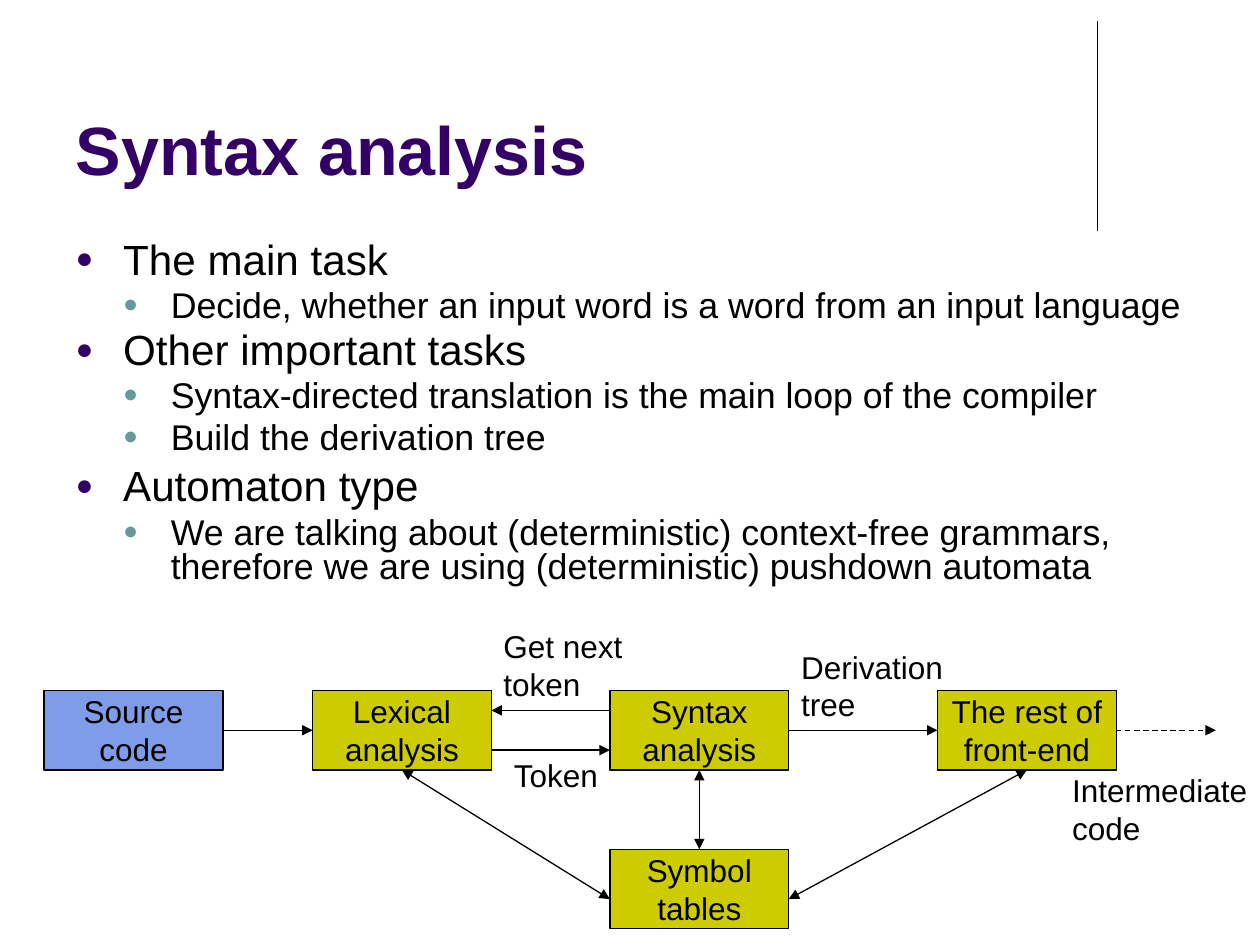
from lxml import etree
from pptx import Presentation
from pptx.dml.color import RGBColor
from pptx.enum import dml, shapes, text
from pptx.oxml import ns
from pptx.util import Pt

COLORS = {"ink": "000000", "title": "330066", "sub": "669999",
          "phase": "CCCC00", "source": "7E9CE8"}
FONT = "Arial"
BOX_W, BOX_H = 102.2, 45.4
BULLETS = [
    (0, "The main task", 0.8),
    (1, "Decide, whether an input word is a word from an input language", 0.8),
    (0, "Other important tasks", 0.8),
    (1, "Syntax-directed translation is the main loop of the compiler", 0.8),
    (1, "Build the derivation tree", 0.8),
    (0, "Automaton type", 0.9),
    (1, "We are talking about (deterministic) context-free grammars, "
        "therefore we are using (deterministic) pushdown automata", 0.8),
]


def rgb(name):
    return RGBColor.from_string(COLORS[name])


def sub(parent, tag, **attrs):
    return etree.SubElement(parent, ns.qn(tag), **attrs)


def write(p, words, size=18, color="ink", bold=False, align=text.PP_ALIGN.LEFT):
    p.text = words
    p.alignment = align
    for r in p.runs:
        r.font.name, r.font.size, r.font.bold = FONT, Pt(size), bold
        r.font.color.rgb = rgb(color)


def place(sp, x, y, w, h):
    sp.left, sp.top, sp.width, sp.height = Pt(x), Pt(y), Pt(w), Pt(h)


def add_title(s, x, y, w, h):
    sp = s.shapes.title
    place(sp, x, y, w, h)
    tf = sp.text_frame
    tf.auto_size = text.MSO_AUTO_SIZE.NONE
    tf.vertical_anchor = text.MSO_ANCHOR.BOTTOM
    write(tf.paragraphs[0], "Syntax analysis", size=39, color="title", bold=True)


def add_bullets(s, x, y, w, h):
    sp = s.placeholders[1]
    place(sp, x, y, w, h)
    tf = sp.text_frame
    tf.auto_size = text.MSO_AUTO_SIZE.NONE
    for i, (level, words, spacing) in enumerate(BULLETS):
        p = tf.add_paragraph() if i else tf.paragraphs[0]
        write(p, words, size=(24.1, 20.4)[level])
        p.level, p.line_spacing = level, spacing
        pPr = p._p.get_or_add_pPr()
        pPr.set("marL", str(Pt(27.2 * (level + 1))))
        pPr.set("indent", str(-Pt(27.2)))
        sub(sub(pPr, "a:spcBef"), "a:spcPct", val="20000")
        sub(sub(pPr, "a:buClr"), "a:srgbClr", val=COLORS[("title", "sub")[level]])
        sub(pPr, "a:buSzPct", val="70000")
        sub(pPr, "a:buFont", typeface=FONT)
        sub(pPr, "a:buChar", char="●")


def add_box(s, words, x, y, fill="phase"):
    sp = s.shapes.add_shape(shapes.MSO_SHAPE.RECTANGLE,
                            Pt(x), Pt(y), Pt(BOX_W), Pt(BOX_H))
    sp.shadow.inherit = False
    sp.fill.solid()
    sp.fill.fore_color.rgb = rgb(fill)
    sp.line.color.rgb, sp.line.width = rgb("ink"), Pt(0.75)
    tf = sp.text_frame
    tf.word_wrap = False
    tf.vertical_anchor = text.MSO_ANCHOR.MIDDLE
    write(tf.paragraphs[0], words, align=text.PP_ALIGN.CENTER)
    return sp


def add_label(s, words, x, y, w, h):
    tf = s.shapes.add_textbox(Pt(x), Pt(y), Pt(w), Pt(h)).text_frame
    tf.word_wrap = False
    write(tf.paragraphs[0], words)


def add_line(s, start, end, ends=(), dashed=False):
    """Draw a line; each end is an (x, y) point or a (shape, site) pair."""
    joined = [not isinstance(e[0], (int, float)) for e in (start, end)]
    a, b = [(0, 0) if j else e for j, e in zip(joined, (start, end))]
    c = s.shapes.add_connector(shapes.MSO_CONNECTOR.STRAIGHT,
                               Pt(a[0]), Pt(a[1]), Pt(b[0]), Pt(b[1]))
    if joined[0]:
        c.begin_connect(*start)
    if joined[1]:
        c.end_connect(*end)
    c.line.color.rgb, c.line.width = rgb("ink"), Pt(0.75)
    if dashed:
        c.line.dash_style = dml.MSO_LINE.DASH
    ln = c.line._get_or_add_ln()
    for tag in ends:
        sub(ln, tag, type="triangle")
    sub(c._element.spPr, "a:effectLst")


def add_diagram(s, x, y):
    """Compiler phases in a row, with the symbol tables under them."""
    one, both = ("a:tailEnd",), ("a:headEnd", "a:tailEnd")
    lex_x, syn_x, rest_x = x + 153.4, x + 323.3, x + 510.5
    table_y = y + 90.7
    source = add_box(s, "Source\ncode", x, y, fill="source")
    lexical = add_box(s, "Lexical\nanalysis", lex_x, y)
    syntax = add_box(s, "Syntax\nanalysis", syn_x, y)
    rest = add_box(s, "The rest of\nfront-end", rest_x, y)
    symbols = add_box(s, "Symbol\ntables", syn_x, table_y)

    lex_right = lex_x + BOX_W
    add_line(s, (source, 3), (lexical, 1), one)
    add_line(s, (syn_x, y + BOX_H / 4), (lex_right, y + BOX_H / 4), one)
    add_line(s, (lex_right, y + BOX_H * 3 / 4), (syn_x, y + BOX_H * 3 / 4), one)
    add_line(s, (syntax, 3), (rest, 1), one)
    add_line(s, (rest, 3), (x + 669.6, y + BOX_H / 2), one, dashed=True)
    add_line(s, (syntax, 2), (symbols, 0), both)
    add_line(s, (lexical, 2), (syn_x, table_y + 28.5), both)
    add_line(s, (rest, 2), (syn_x + BOX_W, table_y + 28.5), both)

    add_label(s, "Get next\ntoken", x + 255.4, y - 39.6, 90.7, 51)
    add_label(s, "Token", x + 261.4, y + 33.8, 63.4, 29)
    add_label(s, "Derivation\ntree", x + 425.5, y - 28.1, 96.5, 51)
    add_label(s, "Intermediate\ncode", x + 580.3, y + 42.5, 114.5, 51)


def main():
    prs = Presentation()
    prs.slide_width, prs.slide_height = Pt(720), Pt(540)
    s = prs.slides.add_slide(prs.slide_layouts[1])
    add_line(s, (627, 12), (627, 132))
    add_title(s, 36, 9.4, 594, 102.2)
    add_bullets(s, 36, 135.4, 648, 231.8)
    add_diagram(s, 25.2, 394.6)
    prs.save("out.pptx")


if __name__ == "__main__":
    main()
